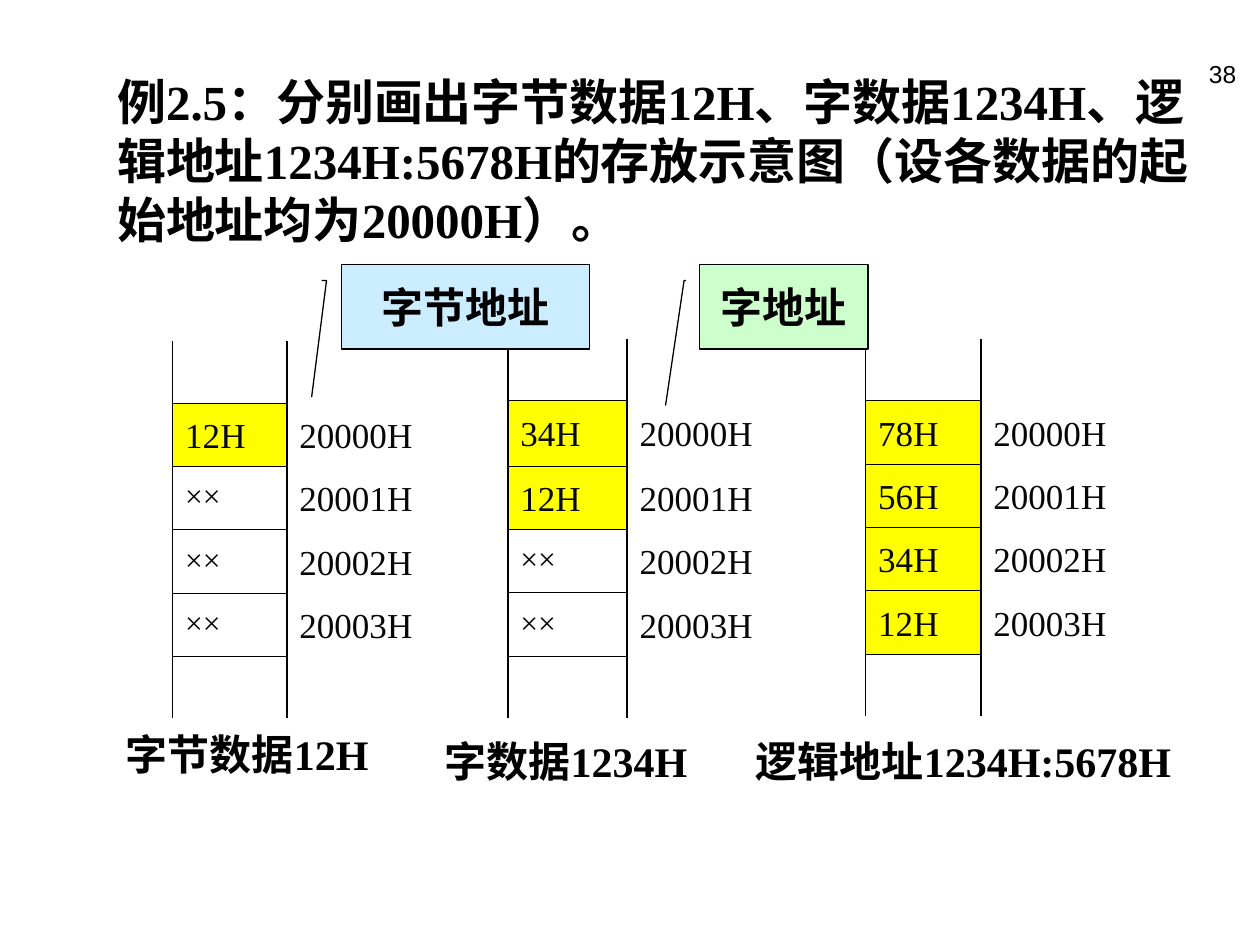
from dataclasses import dataclass

from lxml import etree
from pptx import Presentation
from pptx.dml.color import RGBColor
from pptx.enum.shapes import MSO_SHAPE
from pptx.enum.text import MSO_ANCHOR, MSO_AUTO_SIZE, PP_ALIGN
from pptx.oxml.ns import qn
from pptx.util import Inches, Pt

CALLOUT = MSO_SHAPE.LINE_CALLOUT_2
TOP, MIDDLE = MSO_ANCHOR.TOP, MSO_ANCHOR.MIDDLE
LEFT, CENTER, RIGHT = PP_ALIGN.LEFT, PP_ALIGN.CENTER, PP_ALIGN.RIGHT
NO_FIT = MSO_AUTO_SIZE.NONE
TITLE_ONLY = 5
COLUMNS, ROWS = 100, 75
STEP = Inches(10) / COLUMNS


@dataclass(frozen=True)
class Theme:
    """Colours, fonts, type sizes and line widths of the slide."""
    black: str = "000000"
    cell_text: str = "070709"
    used: str = "FFFF00"
    byte_label: str = "CCECFF"
    word_label: str = "CCFFCC"
    font: str = "Times New Roman"
    number_font: str = "Arial"
    title: int = 28
    label: int = 24
    cell: int = 20
    unknown: int = 18
    number: int = 14
    side_line: float = 1.08
    row_line: float = 0.45
    label_line: float = 0.75


THEME = Theme()


def grid(*counts):
    """Turn counts of grid steps into lengths."""
    return [round(count * STEP) for count in counts]


def write(frame, text, size, bold=False, color=THEME.black, font=THEME.font,
          align=LEFT, anchor=TOP, spacing=1.0):
    """Put one formatted paragraph into a text frame."""
    frame.word_wrap = True
    frame.vertical_anchor = anchor
    para = frame.paragraphs[0]
    para.alignment = align
    para.line_spacing = spacing
    span = para.add_run()
    span.text = text
    span.font.size = Pt(size)
    span.font.bold = bold
    span.font.name = font
    span.font.color.rgb = RGBColor.from_string(color)


def add_text(page, box, text, size, **form):
    """Add a text box filling the given box."""
    frame = page.shapes.add_textbox(*grid(*box)).text_frame
    write(frame, text, size, **form)


def add_title(page, box, text):
    """Place the exercise text in the title placeholder."""
    title = page.shapes.title
    title.left, title.top, title.width, title.height = grid(*box)
    title.text_frame.auto_size = NO_FIT
    write(title.text_frame, text, THEME.title, bold=True)


def set_borders(cell, **widths):
    """Draw the named sides of a cell and hide the other sides."""
    properties = cell._tc.get_or_add_tcPr()
    for place, side in enumerate("LRTB"):
        line = etree.Element(qn(f"a:ln{side}"))
        if side in widths:
            line.set("w", str(Pt(widths[side])))
            fill = etree.SubElement(line, qn("a:solidFill"))
            etree.SubElement(fill, qn("a:srgbClr"), val=THEME.black)
        else:
            etree.SubElement(line, qn("a:noFill"))
        properties.insert(place, line)


def add_memory(page, box, share, data, first_row):
    """Draw a strip of memory bytes with an address beside each one."""
    left, top, width, height = box
    heights = [4.9, first_row, *[5.03] * 3, 4.9]
    table = page.shapes.add_table(len(heights), 2, *grid(*box)).table
    table.first_row = table.horz_banding = False
    for column, part in zip(table.columns, (share, 1 - share)):
        column.width = round(width * part * STEP)
    for row, tall in zip(table.rows, heights):
        row.height = round(tall * STEP)
    last = len(heights) - 1
    for index in range(len(heights)):
        byte, address = table.cell(index, 0), table.cell(index, 1)
        byte.fill.background()
        address.fill.background()
        if 0 < index < last:
            known = index <= len(data)
            text = data[index - 1] if known else "××"
            size = THEME.cell if known else THEME.unknown
            if known:
                byte.fill.solid()
                byte.fill.fore_color.rgb = RGBColor.from_string(THEME.used)
            write(byte.text_frame, text, size, color=THEME.cell_text, spacing=1.2)
            write(address.text_frame, f"2000{index - 1}H", THEME.cell,
                  color=THEME.cell_text, spacing=1.2)
        sides = dict(L=THEME.side_line, R=THEME.side_line)
        if index > 0:
            sides["T"] = THEME.row_line
        if index < last:
            sides["B"] = THEME.row_line
        set_borders(byte, **sides)
        set_borders(address, L=THEME.side_line)


def add_label(page, box, text, color, pointer):
    """Add a callout whose pointer bends through shares of its box."""
    label = page.shapes.add_shape(CALLOUT, *grid(*box))
    label.shadow.inherit = False
    for index, share in enumerate(pointer):
        label.adjustments[index] = share
    label.fill.solid()
    label.fill.fore_color.rgb = RGBColor.from_string(color)
    label.line.color.rgb = RGBColor.from_string(THEME.black)
    label.line.width = Pt(THEME.label_line)
    write(label.text_frame, text, THEME.label, bold=True, align=CENTER, anchor=MIDDLE)


def main():
    """Build the slide and save it."""
    deck = Presentation()
    deck.slide_width, deck.slide_height = grid(COLUMNS, ROWS)
    page = deck.slides.add_slide(deck.slide_layouts[TITLE_ONLY])
    add_title(page, (8.3, 5.2, 87.4, 22.1),
              "例2.5：分别画出字节数据12H、字数据1234H、逻辑地址1234H:5678H"
              "的存放示意图（设各数据的起始地址均为20000H）。")
    memories = [
        ((13.7, 27.1, 22.1, 29.9), ["12H"], 5.03),
        ((40.3, 26.9, 23.1, 30.2), ["34H", "12H"], 5.2),
        ((68.7, 26.9, 22.3, 29.9), ["78H", "56H", "34H", "12H"], 5.03),
    ]
    for box, data, first_row in memories:
        add_memory(page, box, 0.41, data, first_row)
    captions = [
        ((9, 57.3, 27.6, 5), "字节数据12H"),
        ((34.3, 57.9, 26, 5), "字数据1234H"),
        ((59, 57.9, 41, 5), "逻辑地址1234H:5678H"),
    ]
    for box, text in captions:
        add_text(page, box, text, THEME.label, bold=True)
    add_label(page, (55.5, 21, 13.4, 6.7), "字地址", THEME.word_label,
              (0.19, -0.08, 0.19, -0.09, 1.67, -0.2))
    add_label(page, (27.1, 21, 19.7, 6.7), "字节地址", THEME.byte_label,
              (0.19, -0.08, 0.19, -0.06, 1.57, -0.12))
    add_text(page, (78.3, 4.2, 20.8, 5), "38", THEME.number,
             font=THEME.number_font, align=RIGHT)
    deck.save("out.pptx")


if __name__ == "__main__":
    main()
